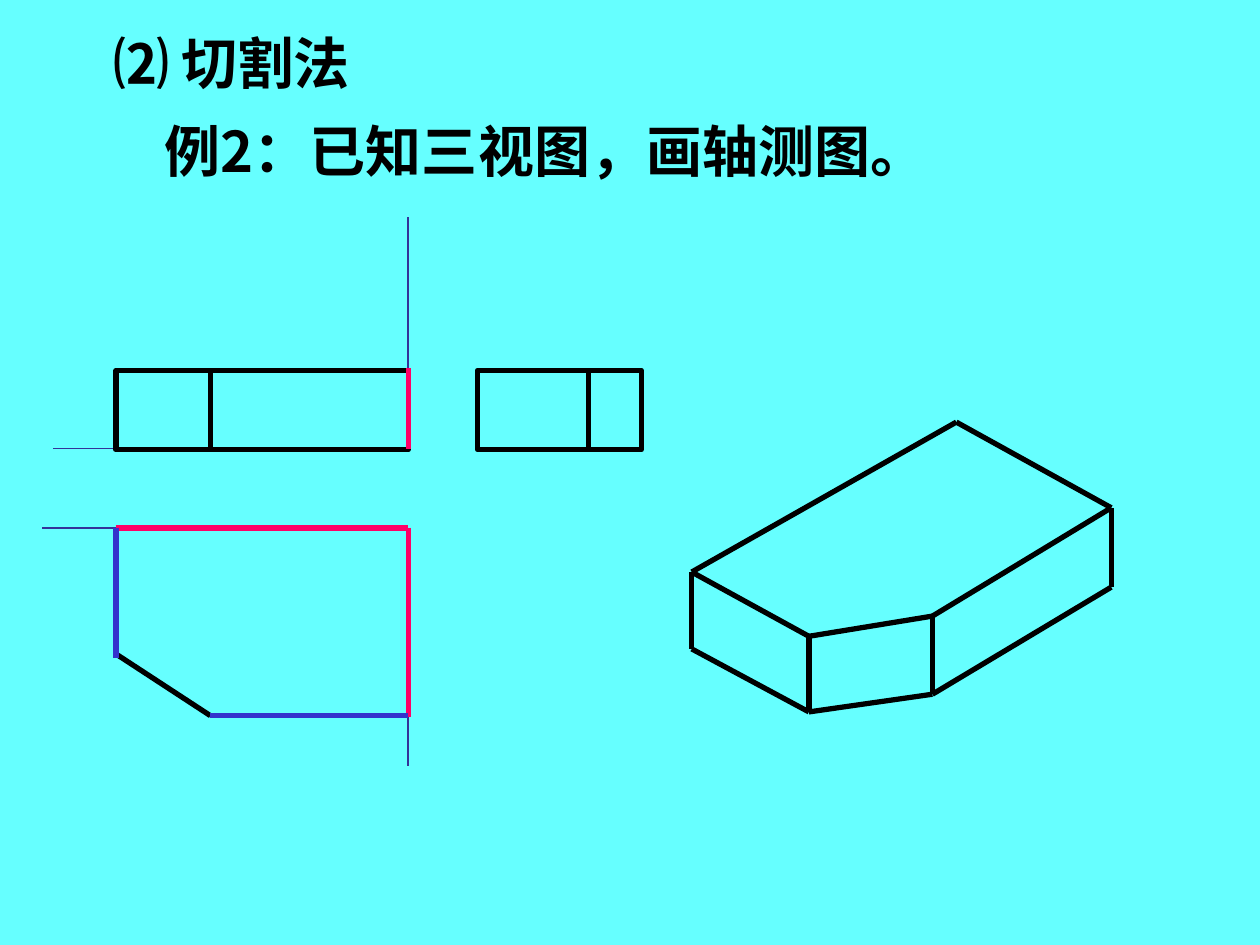
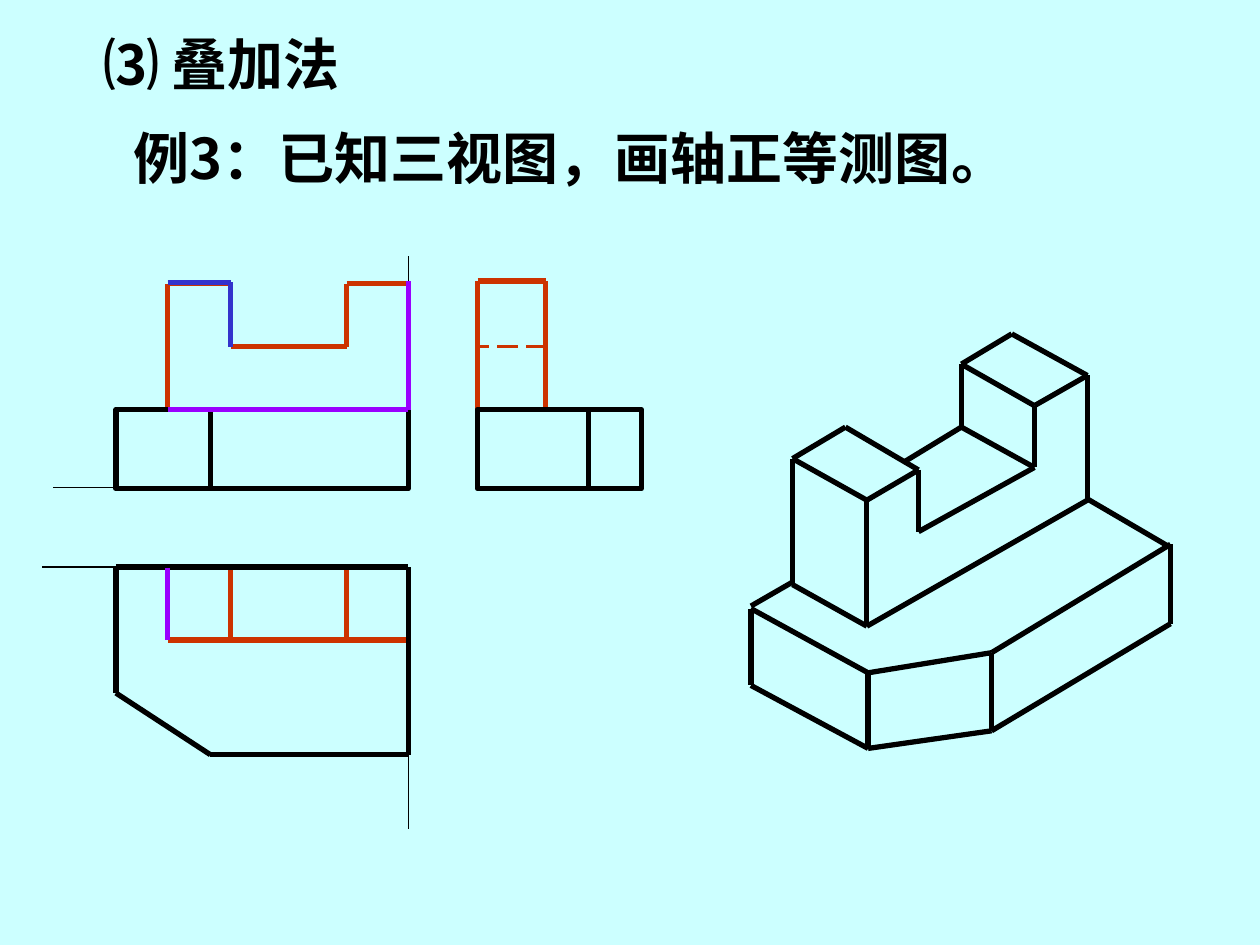
"""Two slides on axonometric drawing: the cutting method and the stacking method."""
from dataclasses import dataclass

from lxml import etree
from pptx import Presentation
from pptx.dml.color import RGBColor
from pptx.enum.dml import MSO_LINE
from pptx.enum.shapes import MSO_CONNECTOR, MSO_SHAPE
from pptx.enum.text import MSO_ANCHOR, MSO_AUTO_SIZE
from pptx.oxml.ns import qn
from pptx.util import Inches, Pt

STRAIGHT = MSO_CONNECTOR.STRAIGHT
RECT = MSO_SHAPE.RECTANGLE
MIDDLE = MSO_ANCHOR.MIDDLE
GROW = MSO_AUTO_SIZE.SHAPE_TO_FIT_TEXT
LONG_DASH = MSO_LINE.LONG_DASH
COLS, ROWS = 10, 7.5
CELL = Inches(1)


@dataclass(frozen=True)
class Theme:
    """Colours, fonts, type size and line weights of the deck."""
    cyan: str = "66FFFF"
    pale: str = "CCFFFF"
    black: str = "000000"
    navy: str = "333399"
    blue: str = "3333CC"
    pink: str = "FF0066"
    rust: str = "CC3300"
    purple: str = "9900FF"
    font: str = "Noto Sans CJK SC"
    serif: str = "Times New Roman"
    size: float = 32
    edge: float = 3
    hidden_edge: float = 1.5


T = Theme()
LEFT, CORNER, RIGHT = 0.92, 1.67, 3.24
SIDE, SIDE_STEP, SIDE_WIDTH = 3.79, 4.67, 1.3
HEIGHT = 0.63
VIEW_SHIFT = 0.31
SOLID_SHIFT = (0.47, 0.29)


def grid(*cells):
    """Turn grid columns and rows into slide lengths."""
    return [round(c * CELL) for c in cells]


def style_line(line, color, width):
    """Give a line its colour and weight."""
    line.color.rgb = RGBColor.from_string(color)
    line.width = Pt(width)


def stroke(s, *points, color=T.black, width=T.edge, dash=None, shift=(0, 0)):
    """Join successive points with straight lines."""
    moved = [grid(x + shift[0], y + shift[1]) for x, y in points]
    for start, end in zip(moved, moved[1:]):
        c = s.shapes.add_connector(STRAIGHT, *start, *end)
        etree.SubElement(c._element.spPr, qn("a:effectLst"))
        style_line(c.line, color, width)
        if dash:
            c.line.dash_style = dash


def outline_box(s, left, top, width, height):
    """Draw an unfilled rectangle."""
    sp = s.shapes.add_shape(RECT, *grid(left, top, width, height))
    sp.shadow.inherit = False
    sp.fill.background()
    style_line(sp.line, T.black, T.edge)


def add_run(p, text, font=T.font, size=T.size, color=T.black, bold=True):
    """Add a formatted run to a paragraph."""
    r = p.add_run()
    r.text = text
    r.font.size, r.font.bold, r.font.name = Pt(size), bold, font
    r.font.color.rgb = RGBColor.from_string(color)
    etree.SubElement(r.font._element, qn("a:ea"), typeface=T.font)


def heading(s, text, left, top, width, ending=""):
    """Place a one-line heading, with an optional serif ending."""
    tf = s.shapes.add_textbox(*grid(left, top, width, 0.64)).text_frame
    tf.word_wrap, tf.auto_size, tf.vertical_anchor = False, GROW, MIDDLE
    p = tf.paragraphs[0]
    add_run(p, text)
    if ending:
        add_run(p, ending, font=T.serif)


def new_slide(prs, color):
    """Add a blank slide with a plain background."""
    s = prs.slides.add_slide(prs.slide_layouts[6])
    s.background.fill.solid()
    s.background.fill.fore_color.rgb = RGBColor.from_string(color)
    return s


def guides(s, front_top, plan_bottom, dy=0, **fmt):
    """Draw the thin reference lines of the views."""
    base, back = 3.56 + dy, 4.19 + dy
    stroke(s, (RIGHT, back), (RIGHT, plan_bottom), **fmt)
    stroke(s, (RIGHT, back), (0.33, back), **fmt)
    stroke(s, (RIGHT, base), (RIGHT, front_top), **fmt)
    stroke(s, (RIGHT, base), (0.42, base), **fmt)


def plate_views(s, dy=0):
    """Draw the front, side and plan views of the cut plate."""
    top, back, cut, front = (y + dy for y in (2.94, 4.19, 5.19, 5.68))
    outline_box(s, LEFT, top, RIGHT - LEFT, HEIGHT)
    outline_box(s, SIDE, top, SIDE_WIDTH, HEIGHT)
    for x in (CORNER, SIDE_STEP):
        stroke(s, (x, top + HEIGHT), (x, top))
    stroke(s, (LEFT, back), (RIGHT, back), (RIGHT, front),
           (CORNER, front), (LEFT, cut), (LEFT, back))


def plate_solid(s, shift=(0, 0)):
    """Draw the visible sides of the plate in axonometric view."""
    rim = [(5.49, 4.54), (6.42, 5.05), (7.4, 4.89), (8.82, 4.03)]
    foot = [(5.49, 5.15), (6.42, 5.65), (7.4, 5.51), (8.82, 4.66)]
    stroke(s, *rim, shift=shift)
    stroke(s, *foot, shift=shift)
    for upper, lower in zip(rim, foot):
        stroke(s, upper, lower, shift=shift)


def block_views(s):
    """Draw the notched upright block in the three views."""
    stroke(s, (1.33, 3.25), (1.33, 2.25), (1.83, 2.25), (1.83, 2.75),
           (2.75, 2.75), (2.75, 2.25), (RIGHT, 2.25), color=T.rust)
    for x in (1.83, 2.75):
        stroke(s, (x, 4.5), (x, 5.08), color=T.rust)
    stroke(s, (1.33, 5.08), (RIGHT, 5.08), color=T.rust)
    stroke(s, (SIDE, 3.25), (SIDE, 2.23), (4.33, 2.23), (4.33, 3.25), color=T.rust)
    stroke(s, (4.34, 2.75), (3.77, 2.75), color=T.rust,
           width=T.hidden_edge, dash=LONG_DASH)


def block_solid(s):
    """Draw the notched upright block in axonometric view."""
    stroke(s, (6.29, 3.64), (6.29, 4.64), (6.88, 4.97), (8.63, 3.97), (8.63, 2.98),
           (8.03, 2.65), (7.63, 2.89), (7.63, 3.39), (7.17, 3.67))
    stroke(s, (6.88, 4.97), (6.88, 3.97), (6.29, 3.64), (6.71, 3.39),
           (7.29, 3.73), (7.29, 4.22), (8.21, 3.71), (8.21, 3.22), (8.63, 2.98))
    stroke(s, (6.88, 3.97), (7.29, 3.73))
    stroke(s, (7.63, 2.89), (8.21, 3.22))
    stroke(s, (7.63, 3.39), (8.21, 3.71))


def cutting_slide(prs):
    """Build the cutting method slide."""
    s = new_slide(prs, T.cyan)
    guides(s, 1.72, 6.08, color=T.navy, width=1)
    plate_views(s)
    heading(s, "⑵ 切割法", 0.8, 0.17, 2.08)
    heading(s, "例2：已知三视图，画轴测图。", 1.21, 0.87, 6.46)
    stroke(s, (LEFT, 4.19), (RIGHT, 4.19), (RIGHT, 5.69), color=T.pink)
    stroke(s, (RIGHT, 3.56), (RIGHT, 2.92), color=T.pink)
    stroke(s, (RIGHT, 5.68), (CORNER, 5.68), color=T.blue)
    stroke(s, (LEFT, 4.19), (LEFT, 5.22), color=T.blue)
    plate_solid(s)
    stroke(s, (5.49, 4.54), (7.59, 3.35), (8.82, 4.03))


def stacking_slide(prs):
    """Build the stacking method slide."""
    s = new_slide(prs, T.pale)
    block_views(s)
    guides(s, 2.03, 6.58, VIEW_SHIFT, width=0.75)
    plate_views(s, VIEW_SHIFT)
    heading(s, "⑶ 叠加法", 0.72, 0.18, 2.08)
    heading(s, "例3：已知三视图，画轴正等测图", 0.96, 0.93, 7.35, ending="。")
    stroke(s, (1.33, 3.25), (RIGHT, 3.25), (RIGHT, 2.23), color=T.purple)
    stroke(s, (1.33, 4.51), (1.33, 5.08), color=T.purple)
    stroke(s, (1.33, 2.24), (1.83, 2.24), (1.83, 2.75), color=T.blue)
    block_solid(s)
    plate_solid(s, SOLID_SHIFT)
    stroke(s, (5.96, 4.81), (6.29, 4.62))
    stroke(s, (9.28, 4.34), (8.63, 3.96))


def main():
    """Build and save the deck."""
    prs = Presentation()
    prs.slide_width, prs.slide_height = grid(COLS, ROWS)
    cutting_slide(prs)
    stacking_slide(prs)
    prs.save("out.pptx")


if __name__ == "__main__":
    main()
